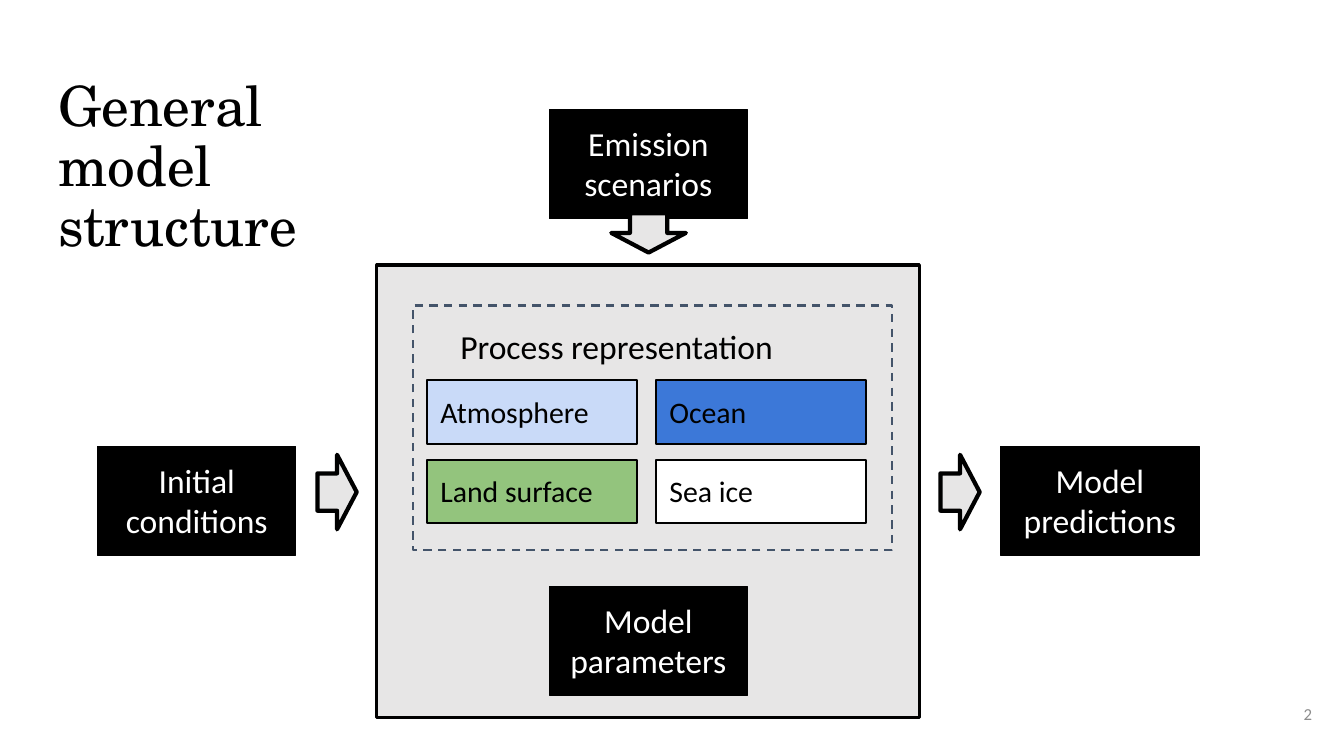
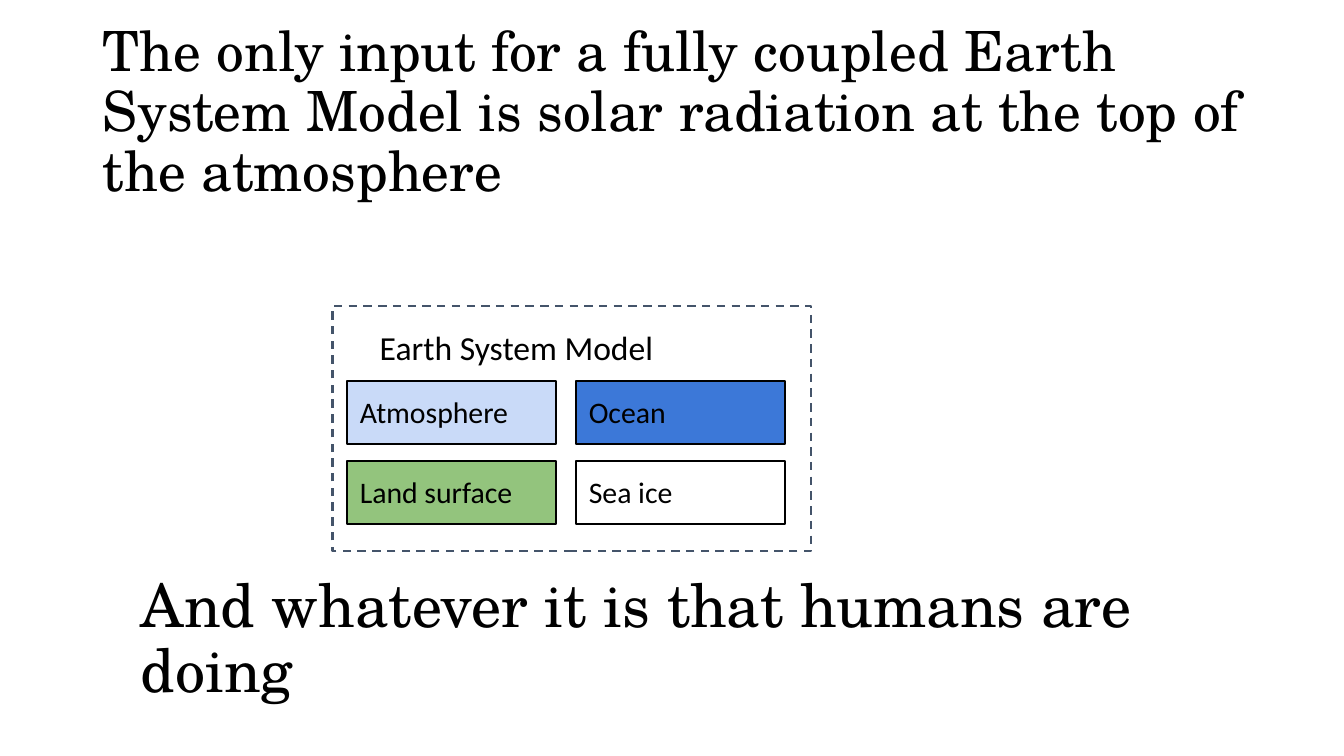
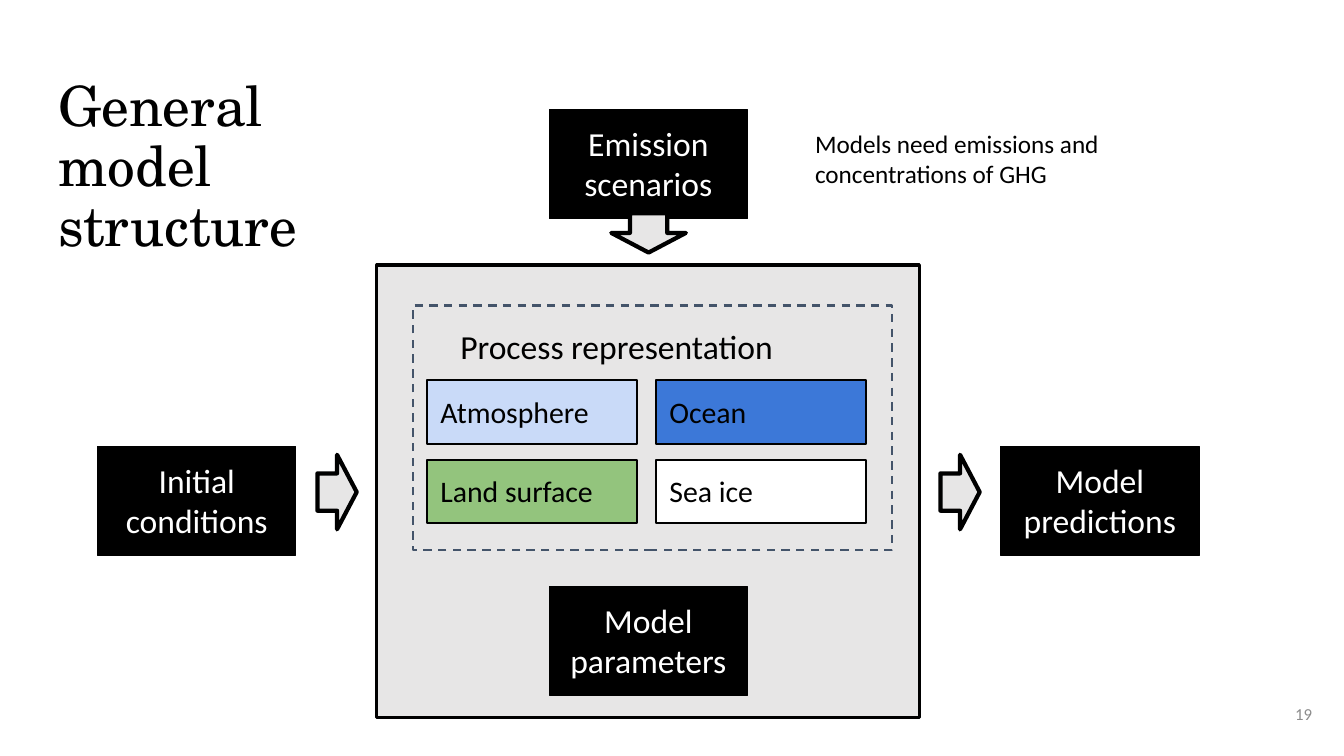
from pptx import Presentation
from pptx.dml.color import RGBColor
from pptx.enum.dml import MSO_LINE
from pptx.enum.shapes import MSO_SHAPE
from pptx.enum.text import MSO_ANCHOR, MSO_AUTO_SIZE, PP_ALIGN
from pptx.util import Cm, Pt

rgb = RGBColor.from_string
BLACK, WHITE, GREY, SLATE, PALE = "000000", "FFFFFF", "E7E6E6", "44546A", "8C8C8C"
SANS, SERIF = "Calibri", "TeX Gyre Schola"
GROW, FIXED = MSO_AUTO_SIZE.SHAPE_TO_FIT_TEXT, MSO_AUTO_SIZE.NONE
TOP, MIDDLE = MSO_ANCHOR.TOP, MSO_ANCHOR.MIDDLE


def draw(slide, kind, left, top, width, height, fill, line, weight):
    shape = slide.shapes.add_shape(kind, Cm(left), Cm(top), Cm(width), Cm(height))
    shape.shadow.inherit = False
    if fill:
        shape.fill.solid()
        shape.fill.fore_color.rgb = rgb(fill)
    else:
        shape.fill.background()
    shape.line.color.rgb = rgb(line)
    shape.line.width = Pt(weight)
    return shape


def write(shape, text, size, tone=BLACK, face=SANS, align=PP_ALIGN.LEFT,
          anchor=TOP, fit=GROW, padded=True):
    frame = shape.text_frame
    frame.text = text
    frame.word_wrap = True
    frame.auto_size = fit
    frame.vertical_anchor = anchor
    if padded:
        frame.margin_left = frame.margin_right = Cm(0.33)
        frame.margin_top = frame.margin_bottom = Cm(0.33)
    line = frame.paragraphs[0]
    line.alignment = align
    if face == SERIF:
        line.line_spacing = 0.9
    font = line.runs[0].font
    font.size, font.name, font.color.rgb = Pt(size), face, rgb(tone)


deck = Presentation()
deck.slide_width, deck.slide_height = Cm(33.87), Cm(19.05)

MODEL = "General model structure"
INPUT = ("The only input for a fully coupled Earth System Model is solar "
         "radiation at the top of the atmosphere")
PAGES = [
    (MODEL, "Process representation", 10.41, 7.7, "2"),
    (INPUT, "Earth System Model", 8.38, 7.72, None),
    (MODEL, "Process representation", 10.41, 7.7, "19"),
]
PARTS = [("Atmosphere", "C9DAF8"), ("Ocean", "3C78D8"),
         ("Land surface", "93C47D"), ("Sea ice", WHITE)]
BOXES = [("Model parameters", 13.84, 14.78), ("Initial conditions", 2.46, 11.25),
         ("Emission scenarios", 13.84, 2.77), ("Model predictions", 25.22, 11.25)]
ARROWS = [(8, 11.46, 0), (23.7, 11.46, 0), (15.85, 4.93, 90)]

for name, label, left, top, number in PAGES:
    slide = deck.slides.add_slide(deck.slide_layouts[5])
    title = slide.shapes.title
    if number:
        title.left, title.top, title.width, title.height = Cm(1.14), Cm(1.65), Cm(9.63), Cm(3.4)
        write(title, name, 39.6, face=SERIF, fit=FIXED)
        draw(slide, MSO_SHAPE.RECTANGLE, 9.5, 6.68, 13.67, 11.4, GREY, BLACK, 2.25)
    else:
        title.left, title.top, title.width, title.height = Cm(2.34), Cm(1.02), Cm(29.21), Cm(3.68)
        write(title, name, 39.6, face=SERIF, anchor=MIDDLE, fit=FIXED, padded=False)

    border = draw(slide, MSO_SHAPE.RECTANGLE, left, top, 12.07, 6.17, None, SLATE, 1.5)
    border.line.dash_style = MSO_LINE.DASH
    for i, (part, fill) in enumerate(PARTS):
        row, col = divmod(i, 2)
        cell = draw(slide, MSO_SHAPE.RECTANGLE, left + 0.36 + col * 5.77,
                    top + 1.88 + row * 2.01, 5.28, 1.6, fill, BLACK, 1.5)
        write(cell, part, 21.3)
    head = slide.shapes.add_textbox(Cm(left + 0.86), Cm(top + 0.18), Cm(10.13), Cm(1.7))
    write(head, label, 24)

    if number:
        for text, x, y in BOXES:
            box = draw(slide, MSO_SHAPE.RECTANGLE, x, y, 5, 2.74, BLACK, BLACK, 0.75)
            write(box, text, 24, WHITE, align=PP_ALIGN.CENTER)
        for x, y, turn in ARROWS:
            arrow = draw(slide, MSO_SHAPE.RIGHT_ARROW, x, y, 0.99, 1.88, GREY, BLACK, 3)
            arrow.rotation = turn
        page = slide.shapes.add_textbox(Cm(31.37), Cm(17.27), Cm(2.03), Cm(1.45))
        write(page, number, 12, PALE, align=PP_ALIGN.RIGHT, anchor=MIDDLE, fit=FIXED)
    else:
        coda = slide.shapes.add_textbox(Cm(3.3), Cm(14.3), Cm(29.21), Cm(3.68))
        write(coda, "And whatever it is that humans are doing", 42.9, face=SERIF,
              anchor=MIDDLE, fit=FIXED, padded=False)

note = slide.shapes.add_textbox(Cm(20.29), Cm(3.1), Cm(9.19), Cm(1.8))
write(note, "Models need emissions and concentrations of GHG", 18, padded=False)

deck.save("out.pptx")
